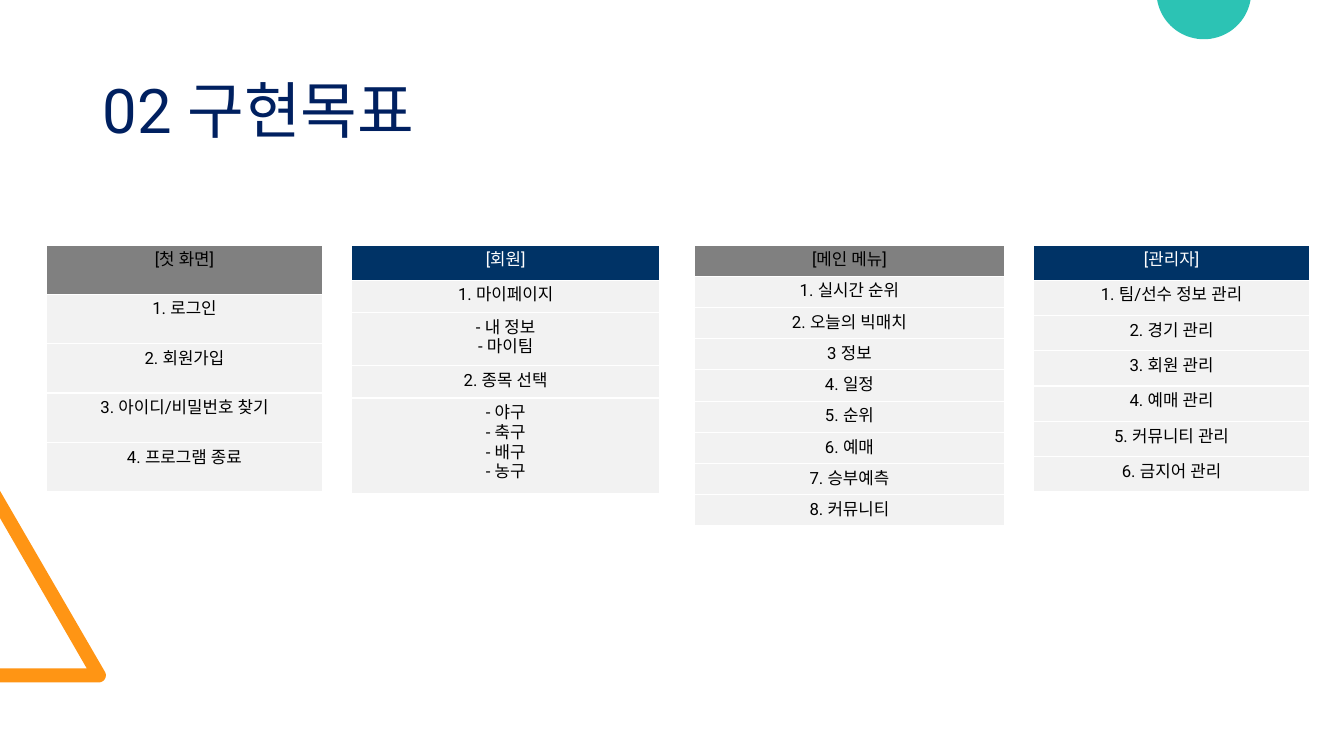
import math
from pptx import Presentation
from pptx.dml.color import RGBColor
from pptx.enum import text
from pptx.oxml.ns import qn
from pptx.util import Inches, Pt
from lxml import etree

TITLE = "02 구현목표"
FONT = "Roboto"
COLORS = {
    "title": "002060", "orange": "FF9514", "teal": "2CC3B4",
    "navy": "003366", "gray": "808080", "cell": "F2F2F2",
    "white": "FFFFFF", "black": "000000",
}
TABLE_TOP = 2.43

# Each cell is one string; a line break starts a new paragraph.
MENUS = [
    {"left": 0.46, "width": 2.74, "fill": "gray", "ink": "black",
     "heights": [0.49] * 5,
     "cells": ["[첫 화면]", "1. 로그인", "2. 회원가입",
               "3. 아이디/비밀번호 찾기", "4. 프로그램 종료"]},
    {"left": 3.49, "width": 3.05, "fill": "navy", "ink": "white",
     "heights": [0.35, 0.32, 0.53, 0.32, 0.95],
     "cells": ["[회원]", "1. 마이페이지", "- 내 정보\n- 마이팀",
               "2. 종목 선택", "- 야구\n- 축구\n- 배구\n- 농구"]},
    {"left": 6.89, "width": 3.07, "fill": "gray", "ink": "black",
     "heights": [0.31] * 9,
     "cells": ["[메인 메뉴]", "1. 실시간 순위", "2. 오늘의 빅매치",
               "3 정보", "4. 일정", "5. 순위", "6. 예매",
               "7. 승부예측", "8. 커뮤니티"]},
    {"left": 10.25, "width": 2.74, "fill": "navy", "ink": "white",
     "heights": [0.35] * 7,
     "cells": ["[관리자]", "1. 팀/선수 정보 관리", "2. 경기 관리",
               "3. 회원 관리", "4. 예매 관리", "5. 커뮤니티 관리",
               "6. 금지어 관리"]},
]


def rgb(name):
    return RGBColor.from_string(COLORS[name])


def add_run(p, words, size, color):
    r = p.add_run()
    r.text = words
    r.font.name = FONT
    r.font.size = Pt(size)
    r.font.bold = False
    r.font.color.rgb = rgb(color)
    # Hangul takes its font from the East Asian slot
    latin = r.font._element.find(qn("a:latin"))
    ea = etree.Element(qn("a:ea"), typeface=FONT)
    latin.addnext(ea)


def arc(cx, cy, radius, start, end, steps=40):
    """Points along an arc; angles in degrees, clockwise from the right."""
    angles = [math.radians(start + (end - start) * i / steps)
              for i in range(steps + 1)]
    return [(cx + radius * math.cos(a), cy + radius * math.sin(a))
            for a in angles]


def add_outline(slide, points, color):
    pts = [(Inches(x), Inches(y)) for x, y in points]
    builder = slide.shapes.build_freeform(*pts[0])
    builder.add_line_segments(pts[1:], close=True)
    sp = builder.convert_to_shape()
    sp.shadow.inherit = False
    sp.fill.solid()
    sp.fill.fore_color.rgb = rgb(color)
    sp.line.fill.background()


def add_menu(slide, menu):
    cells, heights = menu["cells"], menu["heights"]
    frame = slide.shapes.add_table(
        len(cells), 1, Inches(menu["left"]), Inches(TABLE_TOP),
        Inches(menu["width"]), Inches(sum(heights)))
    table = frame.table
    for i, (words, height) in enumerate(zip(cells, heights)):
        table.rows[i].height = Inches(height)
        fill, ink = (menu["fill"], menu["ink"]) if i == 0 else ("cell", "black")
        cell = table.cell(i, 0)
        cell.fill.solid()
        cell.fill.fore_color.rgb = rgb(fill)
        tf = cell.text_frame
        for n, line in enumerate(words.split("\n")):
            p = tf.add_paragraph() if n else tf.paragraphs[0]
            p.alignment = text.PP_ALIGN.CENTER
            add_run(p, line, 12, ink)


def main():
    prs = Presentation()
    prs.slide_width, prs.slide_height = Inches(13.33), Inches(7.5)
    slide = prs.slides.add_slide(prs.slide_layouts[5])

    triangle = [(0, 6.77), (0, 6.63), (0.86, 6.63), (0, 5.14), (0, 4.87)]
    add_outline(slide, triangle + arc(0.98, 6.7, 0.07, -30, 90), "orange")
    add_outline(slide, arc(11.94, -0.08, 0.47, 10, 170), "teal")

    title = slide.shapes.title
    title.left, title.top = Inches(0.92), Inches(0.4)
    title.width, title.height = Inches(11.5), Inches(1.45)
    title.text_frame.vertical_anchor = text.MSO_ANCHOR.MIDDLE
    p = title.text_frame.paragraphs[0]
    p.alignment = text.PP_ALIGN.LEFT
    p.line_spacing = 0.9
    add_run(p, TITLE, 44, "title")

    for menu in MENUS:
        add_menu(slide, menu)
    prs.save("out.pptx")


if __name__ == "__main__":
    main()
